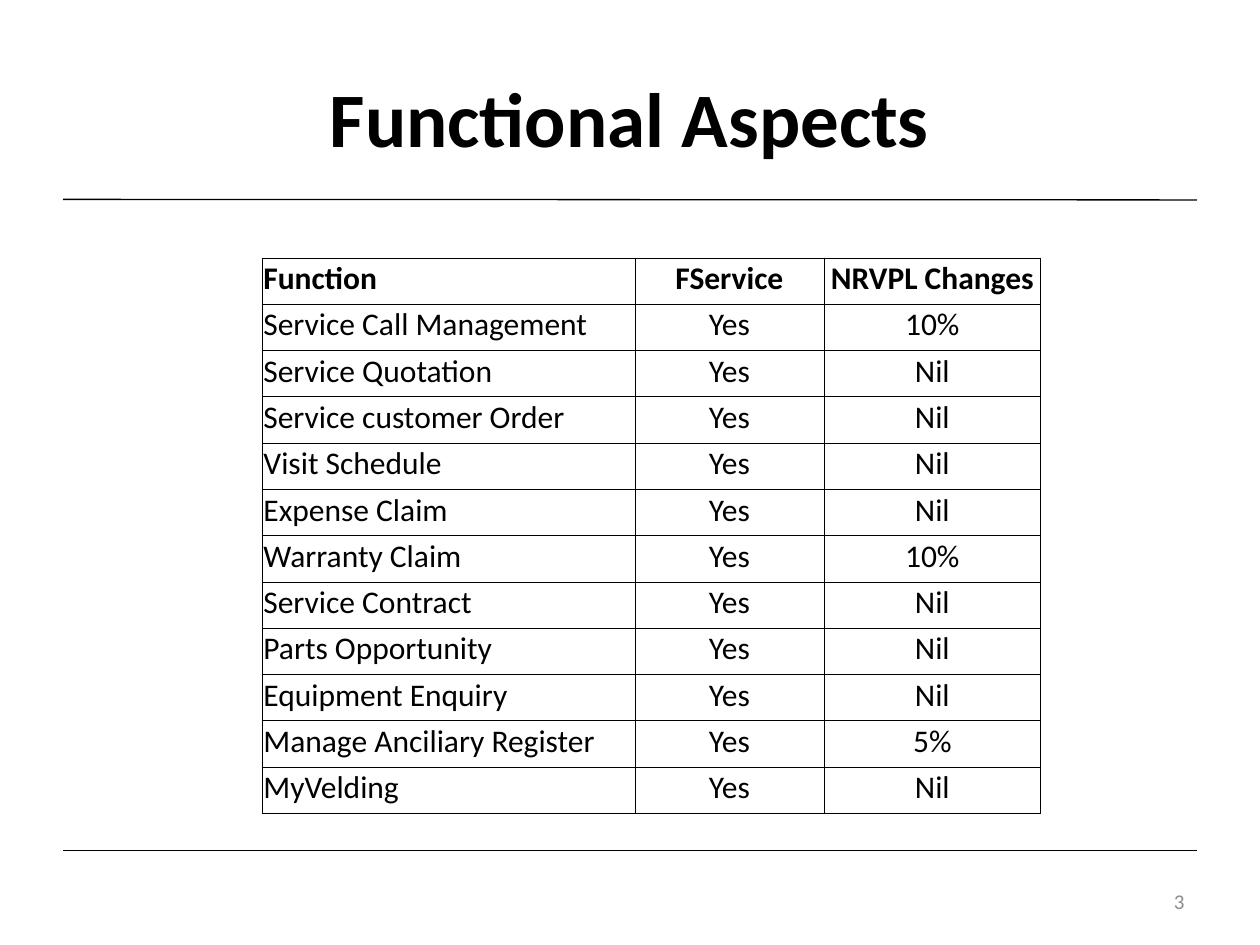
from dataclasses import dataclass

from lxml.etree import SubElement
from pptx import Presentation
from pptx.dml.color import RGBColor
from pptx.enum.shapes import MSO_CONNECTOR as Connector
from pptx.enum.text import MSO_ANCHOR as Anchor, PP_ALIGN as Align
from pptx.oxml.ns import qn
from pptx.util import Cm, Pt


@dataclass(frozen=True)
class Theme:
    """Colours, typeface and type sizes of the deck."""
    ink: str = "000000"
    muted: str = "8C8C8C"
    font: str = "Calibri"
    title: int = 44
    body: int = 18
    small: int = 12
    rule: float = 0.75
    border: float = 0.5


class SlideBuilder:
    """Draws styled elements on the current slide."""

    def __init__(self, slide, theme):
        """Keep the slide and its style."""
        self.slide = slide
        self.theme = theme

    def add_text(self, frame, text, size, align, color=None, bold=False):
        """Put one formatted paragraph in a text frame."""
        paragraph = frame.paragraphs[0]
        paragraph.alignment = align
        run = paragraph.add_run()
        run.text = text
        run.font.color.rgb = RGBColor.from_string(color or self.theme.ink)
        formats = {"name": self.theme.font, "size": Pt(size), "bold": bold}
        for key, value in formats.items():
            setattr(run.font, key, value)

    def title(self, text, left, top, width, height):
        """Place and fill the title placeholder."""
        heading = self.slide.shapes.title
        places = {"left": left, "top": top, "width": width, "height": height}
        for key, value in places.items():
            setattr(heading, key, Cm(value))
        heading.text_frame.vertical_anchor = Anchor.MIDDLE
        self.add_text(heading.text_frame, text, self.theme.title, Align.CENTER, bold=True)

    def rule(self, left, start, right, end):
        """Draw a thin line across the slide."""
        line = self.slide.shapes.add_connector(
            Connector.STRAIGHT, Cm(left), Cm(start), Cm(right), Cm(end))
        line.line.width = Pt(self.theme.rule)
        line.line.color.rgb = RGBColor.from_string(self.theme.ink)
        SubElement(line._element.spPr, qn("a:effectLst"))

    def page_number(self, text, left, top, width, height):
        """Set the page number at the right of its box."""
        box = self.slide.shapes.add_textbox(Cm(left), Cm(top), Cm(width), Cm(height))
        formats = {"word_wrap": True, "vertical_anchor": Anchor.MIDDLE}
        for key, value in formats.items():
            setattr(box.text_frame, key, value)
        self.add_text(box.text_frame, text, self.theme.small, Align.RIGHT, self.theme.muted)

    def border(self, cell):
        """Outline all four sides of a cell."""
        properties = cell._tc.get_or_add_tcPr()
        for side in ("lnL", "lnR", "lnT", "lnB"):
            edge = SubElement(properties, qn(f"a:{side}"), w=str(Pt(self.theme.border)))
            fill = SubElement(edge, qn("a:solidFill"))
            SubElement(fill, qn("a:srgbClr"), val=self.theme.ink)

    def table(self, rows, left, top, widths, height):
        """Add a ruled table with a bold header row."""
        grid = self.slide.shapes.add_table(
            len(rows), len(widths), Cm(left), Cm(top), Cm(sum(widths)), Cm(height)).table
        grid.first_row = grid.horz_banding = False
        for column, width in zip(grid.columns, widths):
            column.width = Cm(width)
        formats = {
            "margin_left": Cm(0.03), "margin_top": Cm(0.03),
            "margin_right": Cm(0.03), "margin_bottom": Cm(0.12),
            "vertical_anchor": Anchor.MIDDLE,
        }
        for row_index, values in enumerate(rows):
            for column_index, value in enumerate(values):
                cell = grid.cell(row_index, column_index)
                for key, setting in formats.items():
                    setattr(cell, key, setting)
                self.border(cell)
                cell.fill.background()
                align = Align.CENTER if column_index else Align.LEFT
                self.add_text(cell.text_frame, value, self.theme.body, align,
                              bold=row_index == 0)


def main():
    """Build and save the slide."""
    deck = Presentation()
    deck.slide_width, deck.slide_height = Cm(25.4), Cm(19.05)
    builder = SlideBuilder(deck.slides.add_slide(deck.slide_layouts[5]), Theme())

    changes = {
        "Service Call Management": "10%",
        "Service Quotation": "Nil",
        "Service customer Order": "Nil",
        "Visit Schedule": "Nil",
        "Expense Claim": "Nil",
        "Warranty Claim": "10%",
        "Service Contract": "Nil",
        "Parts Opportunity": "Nil",
        "Equipment Enquiry": "Nil",
        "Manage Anciliary Register": "5%",
        "MyVelding": "Nil",
    }
    header = ("Function", "FService", "NRVPL Changes")
    functions = [(name, "Yes", change) for name, change in changes.items()]

    builder.rule(1.27, 17.15, 24.13, 17.15)
    builder.rule(1.27, 4.02, 24.13, 4.03)
    builder.title("Functional Aspects", 1.27, 0.76, 22.86, 3.18)
    builder.page_number("3", 18.21, 17.65, 5.92, 1.02)
    builder.table([header, *functions], 5.28, 5.2, (7.52, 3.81, 4.37), 11.2)
    deck.save("out.pptx")


if __name__ == "__main__":
    main()
